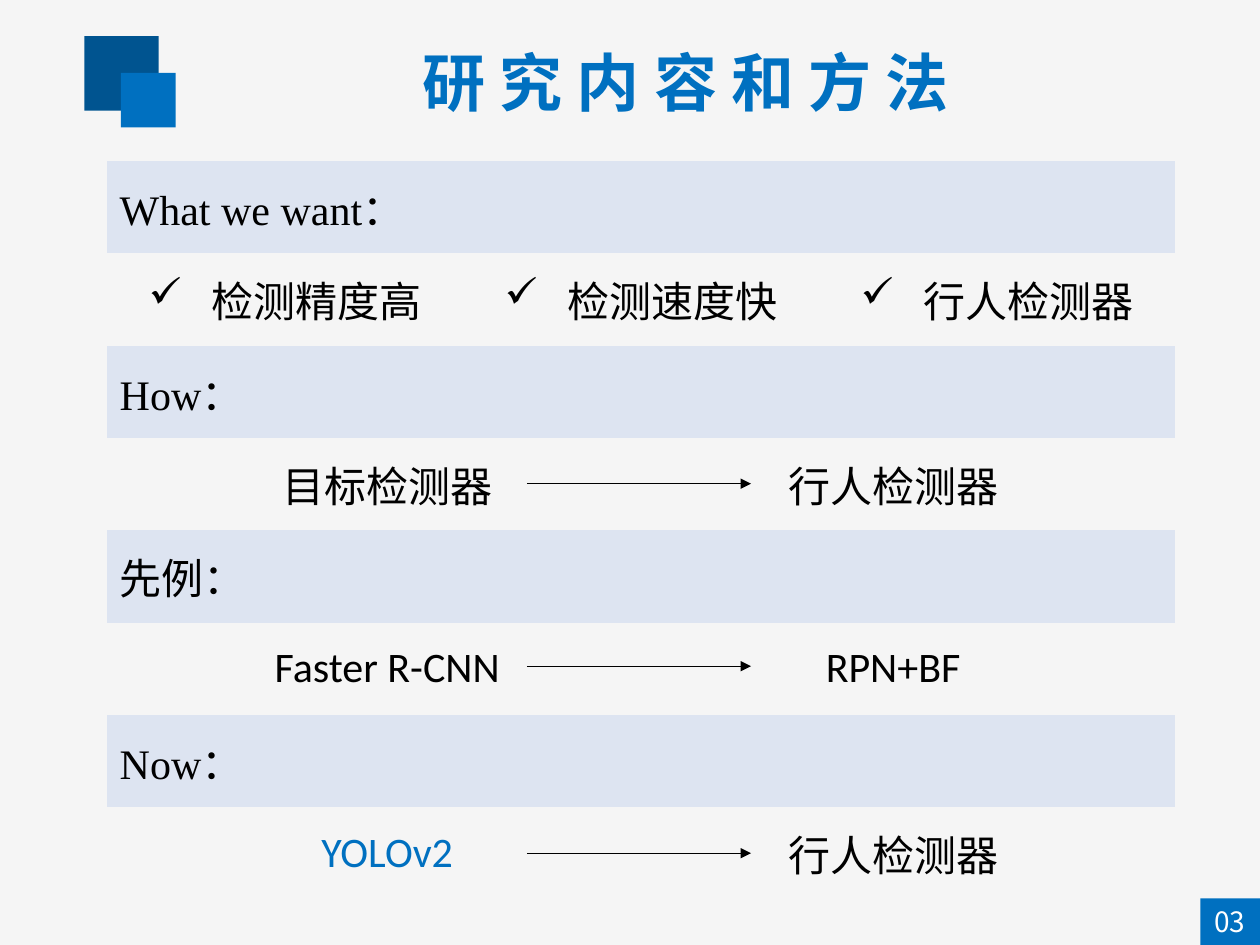
from lxml.etree import SubElement
from pptx import Presentation
from pptx.dml.color import RGBColor as RGB
from pptx.enum.shapes import MSO_CONNECTOR as CONN, MSO_SHAPE as SHAPE
from pptx.enum.text import MSO_ANCHOR as ANCHOR, PP_ALIGN as ALIGN
from pptx.oxml.ns import qn
from pptx.util import Cm, Pt

COLORS = {"bg": "F5F5F5", "navy": "005490", "blue": "0070C0",
          "band": "DDE4F1", "black": "000000", "white": "FFFFFF"}
CJK, LATIN, SERIF = "Noto Sans CJK SC", "Calibri", "Times New Roman"
NO_GRID_STYLE = "{2D5ABB26-0587-4C30-8999-92F81FD0307C}"

COLUMNS = [2.95, 4.22, 1.17, 4.85, 1.17, 4.14, 3.02]
ROW_HEIGHT = 1.86
SECTIONS = [("What we want：", SERIF), ("How：", SERIF),
            ("先例：", LATIN), ("Now：", SERIF)]
GOALS = [(0, 1, "检测精度高"), (2, 4, "检测速度快"), (5, 6, "行人检测器")]
STEPS = [("目标检测器", "行人检测器", "black"),
         ("Faster R-CNN", "RPN+BF", "black"),
         ("YOLOv2", "行人检测器", "blue")]
ARROW_YS = [9.75, 13.43, 17.2]


def rgb(name):
    return RGB.from_string(COLORS[name])


def write(tf, text, color="black", font=LATIN, size=24, bold=False,
          align=ALIGN.CENTER):
    p = tf.paragraphs[0]
    p.alignment = align
    r = p.add_run()
    r.text = text
    for name, value in {"name": font, "size": Pt(size), "bold": bold}.items():
        setattr(r.font, name, value)
    r.font.color.rgb = rgb(color)
    SubElement(r.font._element, qn("a:ea"), typeface=CJK)
    return p


def add_square(s, x, y, w, h, color):
    sp = s.shapes.add_shape(SHAPE.RECTANGLE, Cm(x), Cm(y), Cm(w), Cm(h))
    sp.shadow.inherit = False
    sp.fill.solid()
    sp.fill.fore_color.rgb = rgb(color)
    sp.line.fill.background()


def add_text(s, x, y, w, h, text, **style):
    tf = s.shapes.add_textbox(Cm(x), Cm(y), Cm(w), Cm(h)).text_frame
    tf.word_wrap = True
    write(tf, text, font=CJK, **style)


def add_arrow(s, x1, x2, y):
    line = s.shapes.add_connector(CONN.STRAIGHT, Cm(x1), Cm(y), Cm(x2), Cm(y))
    line.line.color.rgb = rgb("black")
    line.line.width = Pt(0.75)
    SubElement(line.line._get_or_add_ln(), qn("a:tailEnd"), type="triangle")
    SubElement(line._element.spPr, qn("a:effectLst"))


def fill_cells(table, row, first, last, text, **style):
    """Merge the columns first to last of a row and write into them."""
    cell = table.cell(row, first)
    cell.merge(table.cell(row, last))
    cell.vertical_anchor = ANCHOR.MIDDLE
    return write(cell.text_frame, text, **style)


def add_check(p):
    pPr = p._p.get_or_add_pPr()
    pPr.set("marL", str(Cm(1.27)))
    pPr.set("indent", str(-Cm(1.27)))
    SubElement(pPr, qn("a:buChar"), char="✓")


def add_plan_table(s):
    rows = 2 * len(SECTIONS)
    frame = s.shapes.add_table(rows, len(COLUMNS), Cm(2.16), Cm(3.25),
                               Cm(sum(COLUMNS)), Cm(rows * ROW_HEIGHT))
    table = frame.table
    table.first_row = table.horz_banding = False
    table._tbl.tblPr.find(qn("a:tableStyleId")).text = NO_GRID_STYLE
    for column, width in zip(table.columns, COLUMNS):
        column.width = Cm(width)
    for i, row in enumerate(table.rows):
        row.height = Cm(ROW_HEIGHT)
        for cell in row.cells:
            if i % 2:
                cell.fill.background()
            else:
                cell.fill.solid()
                cell.fill.fore_color.rgb = rgb("band")

    for i, (heading, font) in enumerate(SECTIONS):
        fill_cells(table, 2 * i, 0, len(COLUMNS) - 1, heading, font=font,
                   align=ALIGN.LEFT)
    for first, last, goal in GOALS:
        add_check(fill_cells(table, 1, first, last, goal))
    for i, (before, after, color) in enumerate(STEPS):
        fill_cells(table, 2 * i + 3, 1, 2, before, color=color)
        fill_cells(table, 2 * i + 3, 4, 5, after)


def main():
    prs = Presentation()
    prs.slide_width, prs.slide_height = Cm(25.4), Cm(19.05)
    s = prs.slides.add_slide(prs.slide_layouts[6])
    s.background.fill.solid()
    s.background.fill.fore_color.rgb = rgb("bg")

    add_square(s, 1.7, 0.73, 1.5, 1.5, "navy")
    add_square(s, 2.44, 1.47, 1.1, 1.1, "blue")
    add_text(s, 3.94, 0.76, 19.76, 1.8, "研 究 内 容 和 方 法",
             color="blue", size=36, bold=True)
    add_square(s, 24.2, 18.11, 1.2, 0.94, "blue")
    add_text(s, 23.9, 18.11, 1.78, 0.99, "03", color="white", size=16)
    add_plan_table(s)
    for y in ARROW_YS:
        add_arrow(s, 10.62, 15.14, y)
    prs.save("out.pptx")


if __name__ == "__main__":
    main()
